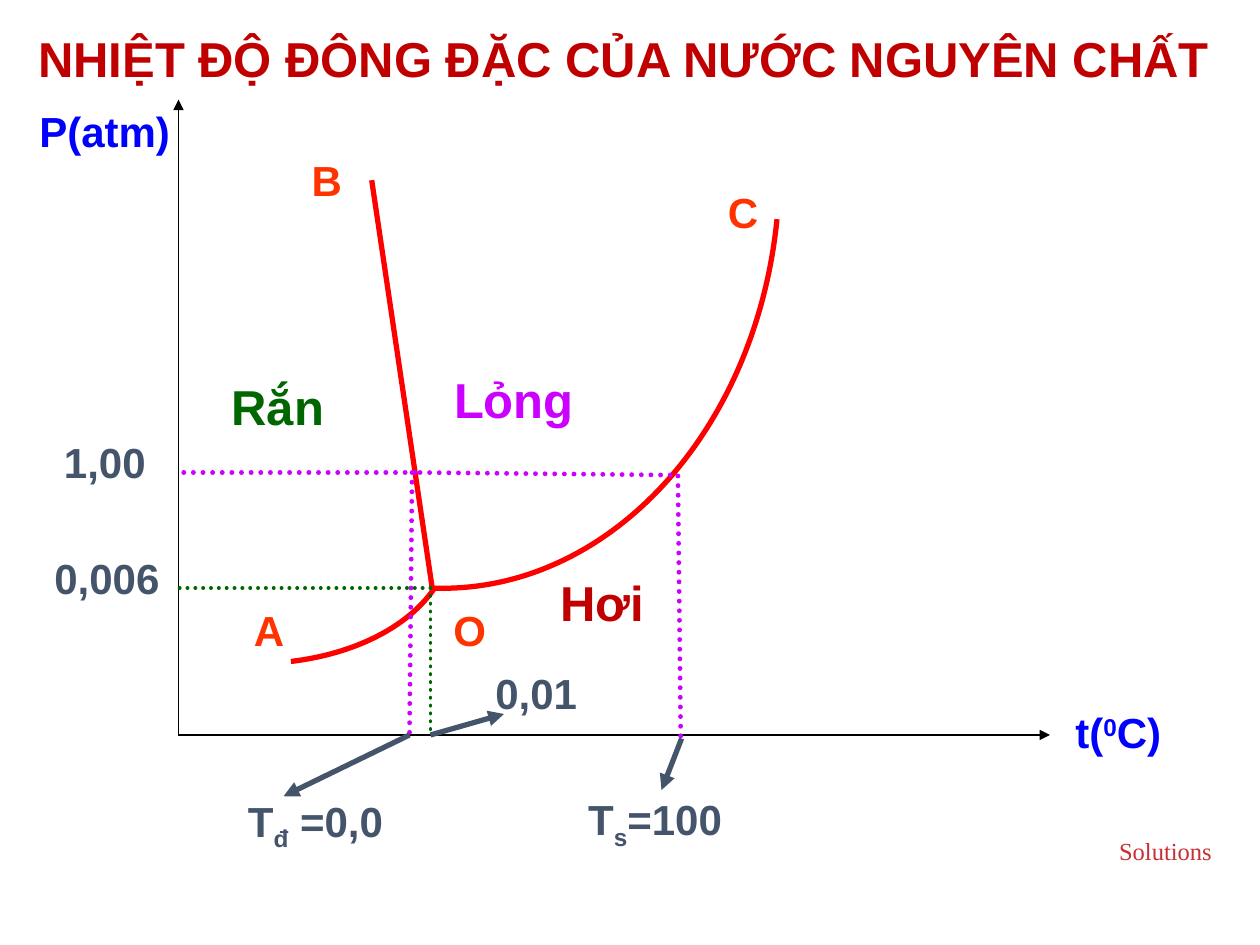
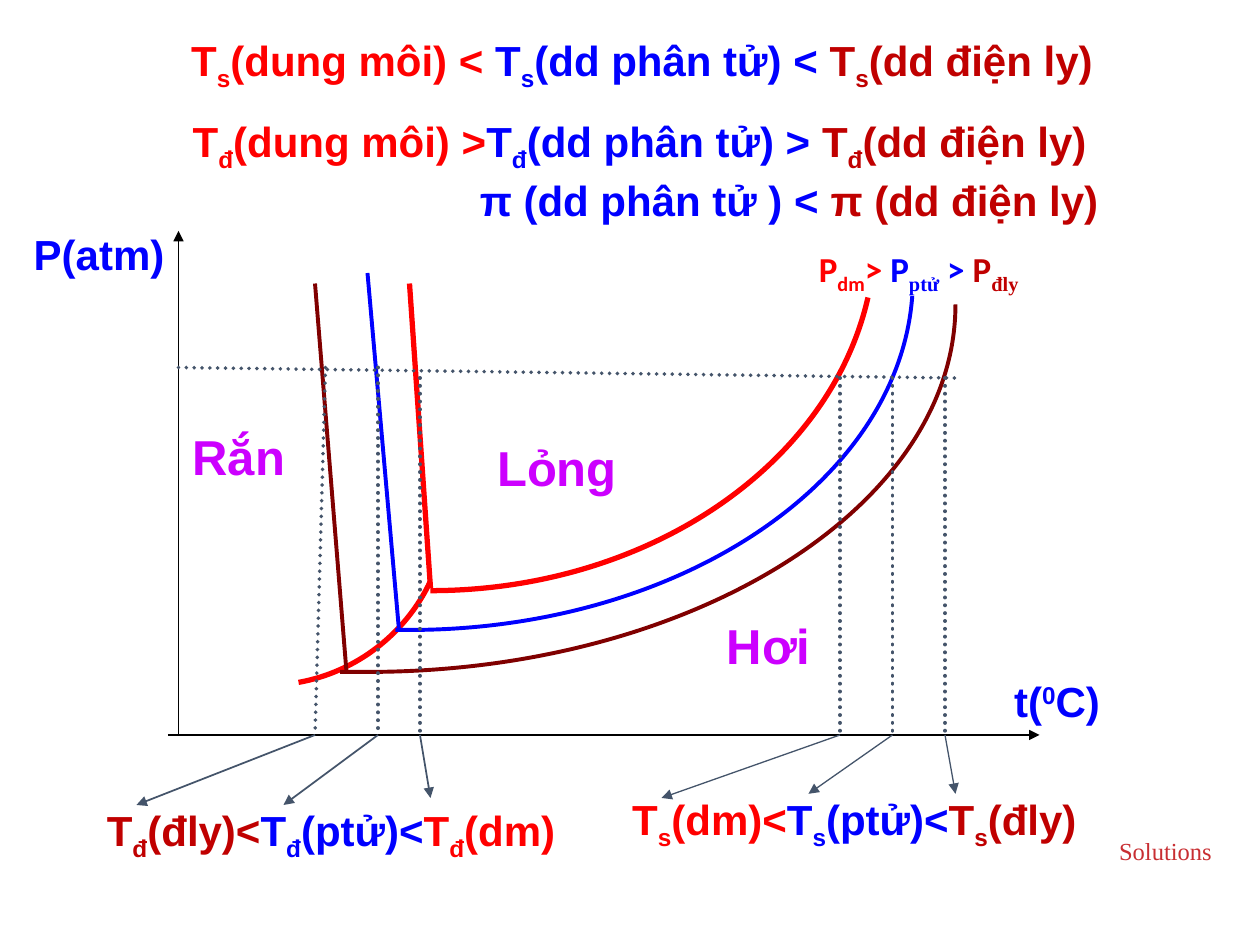
from dataclasses import dataclass
from typing import NamedTuple

import lxml.etree
import pptx
import pptx.dml.color
import pptx.enum.dml
import pptx.enum.shapes
import pptx.enum.text
import pptx.oxml.ns
import pptx.presentation
import pptx.slide
import pptx.util

Color = pptx.dml.color.RGBColor
Slide = pptx.slide.Slide
qn = pptx.oxml.ns.qn

BLACK = Color(0x00, 0x00, 0x00)
RED = Color(0xFF, 0x00, 0x00)
BLUE = Color(0x00, 0x00, 0xFF)
MAROON = Color(0x80, 0x00, 0x00)
DARK_RED = Color(0xC0, 0x00, 0x00)
ORANGE = Color(0xFF, 0x33, 0x00)
GREEN = Color(0x00, 0x66, 0x00)
VIOLET = Color(0xCC, 0x00, 0xFF)
SLATE = Color(0x44, 0x54, 0x6A)
FOOTER_RED = Color(0xC8, 0x2E, 0x32)

BODY_FONT = "Arial"
SERIF_FONT = "Times New Roman"
PRESSURE_FONT = "Calibri"
LABEL_SIZE = 24
PHASE_SIZE = 28
SUBSCRIPT = -25
SUPERSCRIPT = 30

AXIS_X = 102
AXIS_Y = 420

Point = tuple[float, float]


class Run(NamedTuple):
    text: str
    color: Color
    baseline: int = 0
    font: str = BODY_FONT


@dataclass
class Label:
    left: float
    top: float
    width: float
    runs: list[Run]
    size: float = LABEL_SIZE
    height: float | None = None
    bold: bool = True
    middle: bool = False
    wrap: bool = True


@dataclass
class Line:
    start: Point
    end: Point
    color: Color
    width: float
    dotted: bool = False
    arrow: bool = False


@dataclass
class Curve:
    """A cubic curve after a level stretch of length lead_in; corner widens its frame."""
    start: Point
    control_1: Point
    control_2: Point
    end: Point
    corner: Point
    color: Color = RED
    width: float = 3
    lead_in: float = 0


class Drop(NamedTuple):
    """A dotted line down to the axis, and the arrow from there to a label."""
    top: Point
    axis_x: float
    tip: Point
    arrow_width: float


def term(symbol: str, subscript: str, rest: str, color: Color,
         font: str = BODY_FONT, subscript_font: str = "") -> list[Run]:
    return [Run(symbol, color, 0, font),
            Run(subscript, color, SUBSCRIPT, subscript_font or font),
            Run(rest, color, 0, subscript_font and font or font)]


def plain_label(left: float, top: float, width: float, text: str,
                color: Color, size: float = LABEL_SIZE) -> Label:
    return Label(left, top, width, [Run(text, color)], size)


def draw_label(slide: Slide, label: Label) -> None:
    height = label.height or label.size * 1.2 + 7.2
    box = slide.shapes.add_textbox(
        *map(pptx.util.Pt, (label.left, label.top, label.width, height)))
    frame = box.text_frame
    frame.word_wrap = label.wrap
    paragraph = frame.paragraphs[0]
    if label.middle:
        frame.vertical_anchor = pptx.enum.text.MSO_ANCHOR.MIDDLE
        paragraph.line_spacing = 0.9
    for part in label.runs:
        if not part.text:
            continue
        run = paragraph.add_run()
        run.text = part.text
        run.font.name = part.font
        run.font.size = pptx.util.Pt(label.size)
        run.font.bold = label.bold
        run.font.color.rgb = part.color
        if part.baseline:
            run.font._element.set("baseline", str(part.baseline * 1000))


def draw_line(slide: Slide, line: Line) -> None:
    connector = slide.shapes.add_connector(
        pptx.enum.shapes.MSO_CONNECTOR.STRAIGHT,
        *map(pptx.util.Pt, (*line.start, *line.end)))
    connector.line.color.rgb = line.color
    connector.line.width = pptx.util.Pt(line.width)
    properties = connector.element.spPr
    outline = properties.find(qn("a:ln"))
    if line.dotted:
        connector.line.dash_style = pptx.enum.dml.MSO_LINE.ROUND_DOT
        outline.set("cap", "rnd")
    if line.arrow:
        lxml.etree.SubElement(outline, qn("a:tailEnd"), type="triangle")
    lxml.etree.SubElement(properties, qn("a:effectLst"))


def draw_curve(slide: Slide, curve: Curve) -> None:
    """Build the frame as a freeform, then give it a true cubic outline."""
    first = (curve.start[0] - curve.lead_in, curve.start[1])
    builder = slide.shapes.build_freeform(*map(pptx.util.Pt, first))
    builder.add_line_segments(
        [tuple(map(pptx.util.Pt, point)) for point in (curve.corner, curve.end)],
        close=False)
    shape = builder.convert_to_shape()
    shape.shadow.inherit = False
    shape.fill.background()
    shape.line.color.rgb = curve.color
    shape.line.width = pptx.util.Pt(curve.width)

    outline = next(shape.element.iter(qn("a:path")))
    for segment in list(outline):
        outline.remove(segment)
    segments = [("a:moveTo", [first])]
    if curve.lead_in:
        segments.append(("a:lnTo", [curve.start]))
    segments.append(("a:cubicBezTo", [curve.control_1, curve.control_2, curve.end]))
    for tag, points in segments:
        segment = lxml.etree.SubElement(outline, qn(tag))
        for x, y in points:
            lxml.etree.SubElement(segment, qn("a:pt"),
                                  x=str(pptx.util.Pt(x) - shape.left),
                                  y=str(pptx.util.Pt(y) - shape.top))


def draw_axes(slide: Slide, left: float, right: float, top: float,
              pressure_at: Point, temperature_at: Point) -> None:
    draw_line(slide, Line((left, AXIS_Y), (right, AXIS_Y), BLACK, 0.75, arrow=True))
    draw_line(slide, Line((AXIS_X, AXIS_Y), (AXIS_X, top), BLACK, 0.75, arrow=True))
    draw_label(slide, plain_label(*pressure_at, 114, "P(atm)", BLUE))
    draw_label(slide, Label(*temperature_at, 72, [
        Run("t(", BLUE), Run("0", BLUE, SUPERSCRIPT), Run("C)", BLUE)]))


def draw_all(slide: Slide, curves: list[Curve], lines: list[Line],
             labels: list[Label]) -> None:
    for curve in curves:
        draw_curve(slide, curve)
    for line in lines:
        draw_line(slide, line)
    for label in labels:
        draw_label(slide, label)


def add_slide(deck: pptx.presentation.Presentation) -> Slide:
    slide = deck.slides.add_slide(deck.slide_layouts[6])
    draw_label(slide, Label(632.4, 474, 67.7,
                            [Run("Solutions", FOOTER_RED, 0, SERIF_FONT)],
                            size=14, bold=False, wrap=False))
    return slide


def build_pure_water(slide: Slide) -> None:
    triple = (247, 336)
    curves = [
        Curve((166.3, 378), (202.3, 373.7), (232.6, 358.6), (247.7, 337), (144, 306)),
        Curve((252.7, 336.2), (349.9, 336.2), (432, 245.5), (444, 125.3), (252.7, 96.5),
              lead_in=5.7),
    ]
    lines = [Line(triple, (212.4, 103), RED, 3)]
    lines += [Line(start, end, VIOLET, 2.75, dotted=True) for start, end in (
        ((105, 270), (237, 270)),
        ((235.5, 270), (234, AXIS_Y)),
        ((240, 270), (386, 271.5)),
        ((387.4, 272), (389, 422)),
    )]
    lines += [Line((246, 336), end, GREEN, 2.25, dotted=True)
              for end in ((AXIS_X, 336), (246, AXIS_Y))]
    lines += [Line(start, end, SLATE, 3, arrow=True) for start, end in (
        ((234, AXIS_Y), (162, 455)),
        ((246, AXIS_Y), (288, 408)),
        ((389.5, 422), (378, 451.5)),
    )]
    labels = [
        Label(14.8, -0.7, 690,
              [Run("NHIỆT ĐỘ ĐÔNG ĐẶC CỦA NƯỚC NGUYÊN CHẤT", DARK_RED)],
              PHASE_SIZE, height=72, middle=True),
        plain_label(125.3, 211.7, 72, "Rắn", GREEN, PHASE_SIZE),
        plain_label(252.4, 207.4, 90, "Lỏng", VIOLET, PHASE_SIZE),
        plain_label(313.2, 323.6, 96, "Hơi", DARK_RED, PHASE_SIZE),
        plain_label(252, 342, 36, "O", ORANGE),
        plain_label(138, 342, 42, "A", ORANGE),
        plain_label(408.8, 103, 36, "C", ORANGE),
        plain_label(171, 85, 42, "B", ORANGE),
        plain_label(29.5, 246.2, 78, "1,00", SLATE),
        plain_label(24, 312, 84, "0,006", SLATE),
        plain_label(276, 378, 96, "0,01", SLATE),
        Label(134.6, 451, 156, term("T", "đ", " =0,0", SLATE)),
        Label(329, 450, 126, term("T", "s", "=100", SLATE)),
    ]
    draw_axes(slide, AXIS_X, 600, 57, (15.4, 57), (607.4, 400.3))
    draw_all(slide, curves, lines, labels)


def build_solutions(slide: Slide) -> None:
    curves = [
        Curve((170.6, 390), (203.8, 384), (232, 362), (246, 332), (150, 288)),
        Curve((246, 337.5), (368.8, 337.5), (473.8, 267), (496, 170), (246, 133.5)),
        Curve((234, 360), (386.6, 360), (513.4, 276.5), (521.3, 169.2), (234, 158.4),
              BLUE, 2.25, 8),
        Curve((210, 384), (395, 384), (546, 290), (546, 174), (210, 174),
              MAROON, 2.25, 15.6),
    ]
    drops = [
        Drop((540, 216), 540, (546, 453.6), 0.75),
        Drop((510, 216), 510, (462, 453.6), 0.75),
        Drop((480, 216), 480, (378, 456), 0.75),
        Drop((240, 216), 240, (246, 456), 1),
        Drop((216, 210), 216, (162, 460), 1),
        Drop((186, 210), 180, (78, 460), 1),
    ]
    lines = [
        Line((246, 336), (234, 162), RED, 3),
        Line((228, 360), (210, 156), BLUE, 2.25),
        Line((198, 384), (180, 162), MAROON, 2.25),
        Line((AXIS_X, 210), (546, 216), SLATE, 2.25, dotted=True),
    ]
    for drop in drops:
        foot = (drop.axis_x, AXIS_Y)
        lines += [Line(drop.top, foot, SLATE, 2.25, dotted=True),
                  Line(foot, drop.tip, SLATE, drop.arrow_width, arrow=True)]
    labels = [
        plain_label(103, 240.2, 72, "Rắn", VIOLET, PHASE_SIZE),
        plain_label(277, 246.6, 90, "Lỏng", VIOLET, PHASE_SIZE),
        plain_label(408.2, 348.2, 96, "Hơi", VIOLET, PHASE_SIZE),
        Label(354.2, 450, 270, term("T", "s", "(dm)<", RED)
              + term("T", "s", "(ptử)<", BLUE) + term("T", "s", "(đly)", DARK_RED)),
        Label(54, 456.2, 282, term("T", "đ", "(đly)<", DARK_RED)
              + term("T", "đ", "(ptử)<", BLUE) + term("T", "đ", "(dm)", RED)),
        Label(102.2, 16.2, 558, term("T", "s", "(dung môi) < ", RED)
              + term("T", "s", "(dd phân tử) < ", BLUE)
              + term("T", "s", "(dd điện ly)", DARK_RED), height=80),
        Label(103, 62.6, 557, term("T", "đ", "(dung môi) >", RED)
              + term("T", "đ", "(dd phân tử) > ", BLUE)
              + term("T", "đ", "(dd điện ly)", DARK_RED)),
        Label(267.1, 96.2, 405, [Run("π (dd phân tử ) < ", BLUE),
                                 Run("π (dd điện ly)", DARK_RED)]),
        Label(460.8, 136.2, 240, term("P", "dm", "> ", RED, PRESSURE_FONT)
              + term("P", "ptử", " > ", BLUE, PRESSURE_FONT, SERIF_FONT)
              + term("P", "đly", "", DARK_RED, PRESSURE_FONT, SERIF_FONT),
              size=20, height=36, middle=True),
    ]
    draw_axes(slide, 96, 594, 132, (12.2, 127), (572.4, 382.3))
    draw_all(slide, curves, lines, labels)


def main() -> None:
    deck = pptx.Presentation()
    deck.slide_width = pptx.util.Pt(720)
    deck.slide_height = pptx.util.Pt(540)
    build_pure_water(add_slide(deck))
    build_solutions(add_slide(deck))
    deck.save("out.pptx")


if __name__ == "__main__":
    main()
